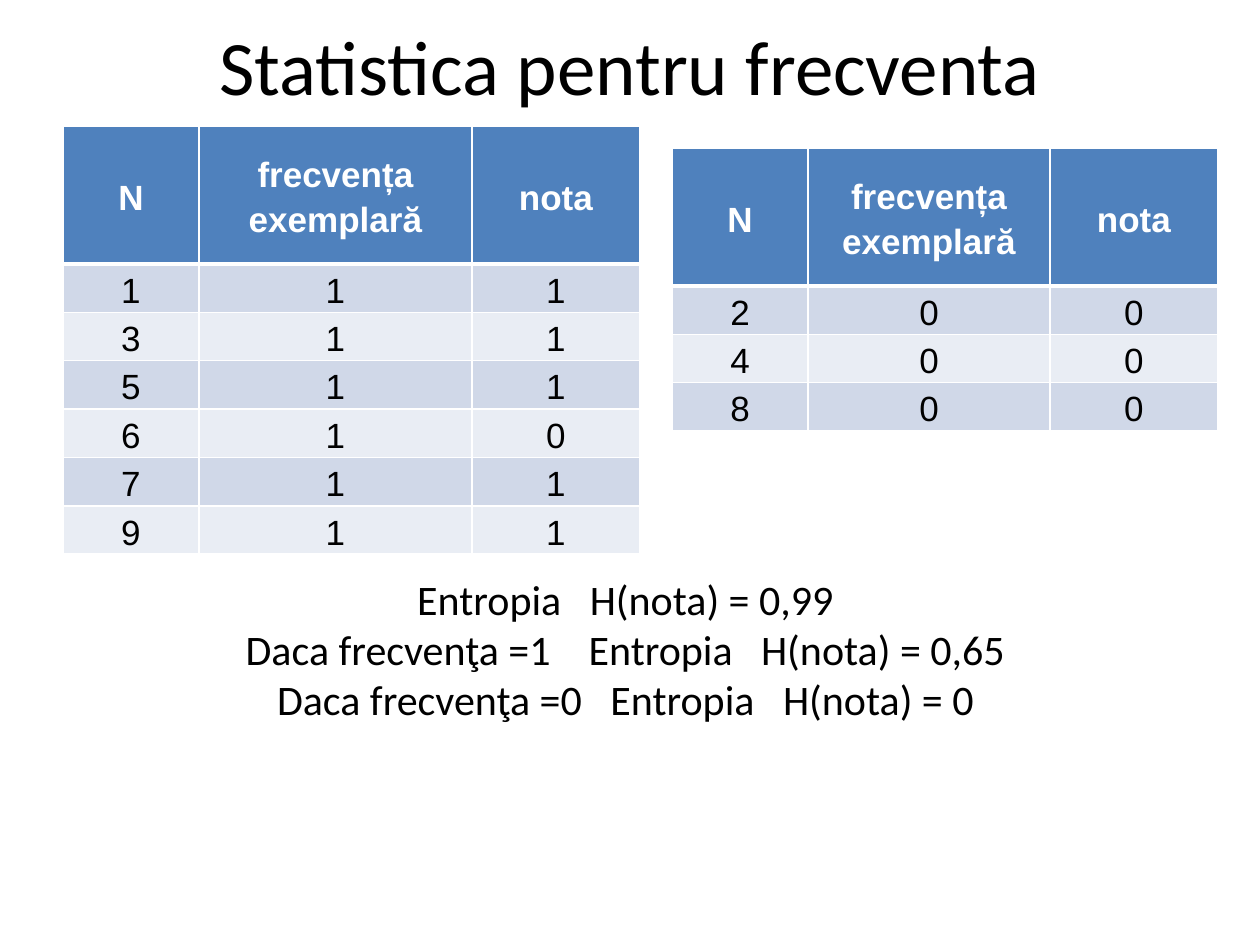
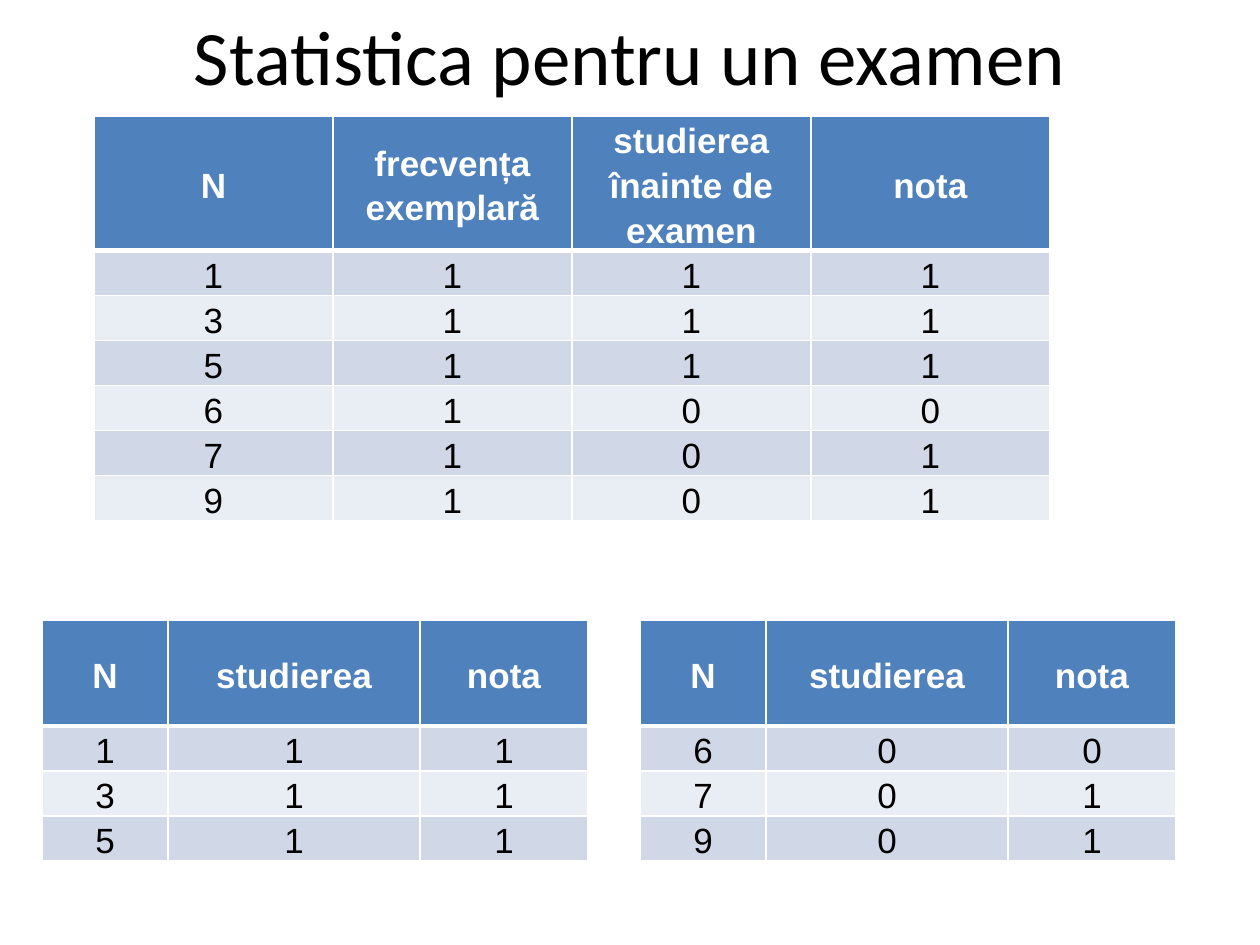
from lxml.etree import SubElement as Sub
from pptx import Presentation
from pptx.dml.color import RGBColor as RGB
from pptx.enum.text import MSO_ANCHOR as Anchor, MSO_AUTO_SIZE as Auto, PP_ALIGN as Align
from pptx.oxml.ns import qn
from pptx.util import Emu, Pt

BLACK = RGB(0x00, 0x00, 0x00)
WHITE = RGB(0xFF, 0xFF, 0xFF)
BLUE = RGB(0x4F, 0x81, 0xBD)
DARK = RGB(0xD0, 0xD8, 0xE8)
PALE = RGB(0xE9, 0xED, 0xF4)

HEAD = {"name": "Calibri", "size": Pt(44)}
NOTE = {"name": "Calibri", "size": Pt(24)}
BOLD = {"name": "Arial", "size": Pt(20), "bold": True}
BODY = {"name": "Arial", "size": Pt(20), "bold": False}
MID = {"alignment": Align.CENTER}
LOOSE = {**MID, "line_spacing": 1.15, "space_after": Pt(10)}


def px(n):
    """Turn pixels into EMU."""
    return Emu(round(n * 914400 / 126))


CELL = {"vertical_anchor": Anchor.MIDDLE, "margin_left": px(9),
        "margin_right": px(9), "margin_top": 0, "margin_bottom": 0}
FLAGS = {"first_row": True, "horz_banding": True}


def put(item, vals):
    """Set each value of a dict on an item."""
    for key, val in vals.items():
        setattr(item, key, val)


def place(item, left, top, width, height):
    """Move and size an item in pixels."""
    put(item, {"left": px(left), "top": px(top),
               "width": px(width), "height": px(height)})


def write(para, text, font, color, form=MID):
    """Write one run of formatted text."""
    run = para.add_run()
    run.text = text
    put(run.font, font)
    run.font.color.rgb = color
    put(para, form)


def add_title(slide, text, top):
    """Fill the title placeholder."""
    title = slide.shapes.title
    place(title, 63, top, 1134, 110)
    put(title.text_frame, {"vertical_anchor": Anchor.MIDDLE, "word_wrap": True,
                           "auto_size": Auto.NONE})
    write(title.text_frame.paragraphs[0], text, HEAD, BLACK)


def add_note(slide, box, lines):
    """Add centred lines of text."""
    frame = slide.shapes.add_textbox(*map(px, box)).text_frame
    put(frame, {"word_wrap": True, "auto_size": Auto.SHAPE_TO_FIT_TEXT})
    for i, line in enumerate(lines):
        para = frame.add_paragraph() if i else frame.paragraphs[0]
        write(para, line, NOTE, BLACK)


def edge(cell, base):
    """Draw white borders, with the given width at the base."""
    props = cell._tc.get_or_add_tcPr()
    for side, width in zip("LRTB", (1, 1, 1, base)):
        line = Sub(props, qn(f"a:ln{side}"), w=str(Pt(width)))
        Sub(Sub(line, qn("a:solidFill")), qn("a:srgbClr"), val=str(WHITE))


def add_grid(slide, spot, cols, tall, step, names, rows):
    """Add a banded table with a tall header row."""
    data = [names] + [row.split() for row in rows]
    size = sum(cols), tall + step * len(rows)
    grid = slide.shapes.add_table(len(data), len(cols), *map(px, spot + size)).table
    put(grid, FLAGS)
    for col, width in zip(grid.columns, cols):
        col.width = px(width)
    for r, row in enumerate(data):
        grid.rows[r].height = px(step if r else tall)
        fill = (PALE if r % 2 == 0 else DARK) if r else BLUE
        for c, text in enumerate(row):
            cell = grid.cell(r, c)
            put(cell, CELL)
            edge(cell, 1 if r else 3)
            cell.fill.solid()
            cell.fill.fore_color.rgb = fill
            write(cell.text_frame.paragraphs[0], text,
                  BODY if r else BOLD, BLACK if r else WHITE, LOOSE)


def add_freq(deck):
    """Build the slide on attendance."""
    slide = deck.slides.add_slide(deck.slide_layouts[5])
    add_title(slide, "Statistica pentru frecventa", 10)
    add_note(slide, (32, 567, 1187, 217), [
        "Entropia   H(nota) = 0,99",
        "Daca frecvenţa =1    Entropia   H(nota) = 0,65",
        "Daca frecvenţa =0   Entropia   H(nota) = 0"])
    names = ["N", "frecvența exemplară", "nota"]
    add_grid(slide, (63, 126), (136, 273, 168), 138, 48, names,
             ["1 1 1", "3 1 1", "5 1 1", "6 1 0", "7 1 1", "9 1 1"])
    add_grid(slide, (672, 148), (136, 242, 168), 138, 48, names,
             ["2 0 0", "4 0 0", "8 0 0"])


def add_exam(deck):
    """Build the slide on the exam."""
    slide = deck.slides.add_slide(deck.slide_layouts[5])
    add_title(slide, "Statistica pentru un examen", 0)
    add_grid(slide, (94, 116), (239,) * 4, 134, 45,
             ["N", "frecvența exemplară", "studierea înainte de examen", "nota"],
             ["1 1 1 1", "3 1 1 1", "5 1 1 1", "6 1 0 0", "7 1 0 1", "9 1 0 1"])
    names = ["N", "studierea", "nota"]
    add_grid(slide, (42, 620), (126, 252, 168), 106, 45, names,
             ["1 1 1", "3 1 1", "5 1 1"])
    add_grid(slide, (640, 620), (126, 242, 168), 106, 45, names,
             ["6 0 0", "7 0 1", "9 0 1"])


def main():
    """Build and save the deck."""
    deck = Presentation()
    put(deck, {"slide_width": px(1260), "slide_height": px(945)})
    add_freq(deck)
    add_exam(deck)
    deck.save("out.pptx")


if __name__ == "__main__":
    main()
